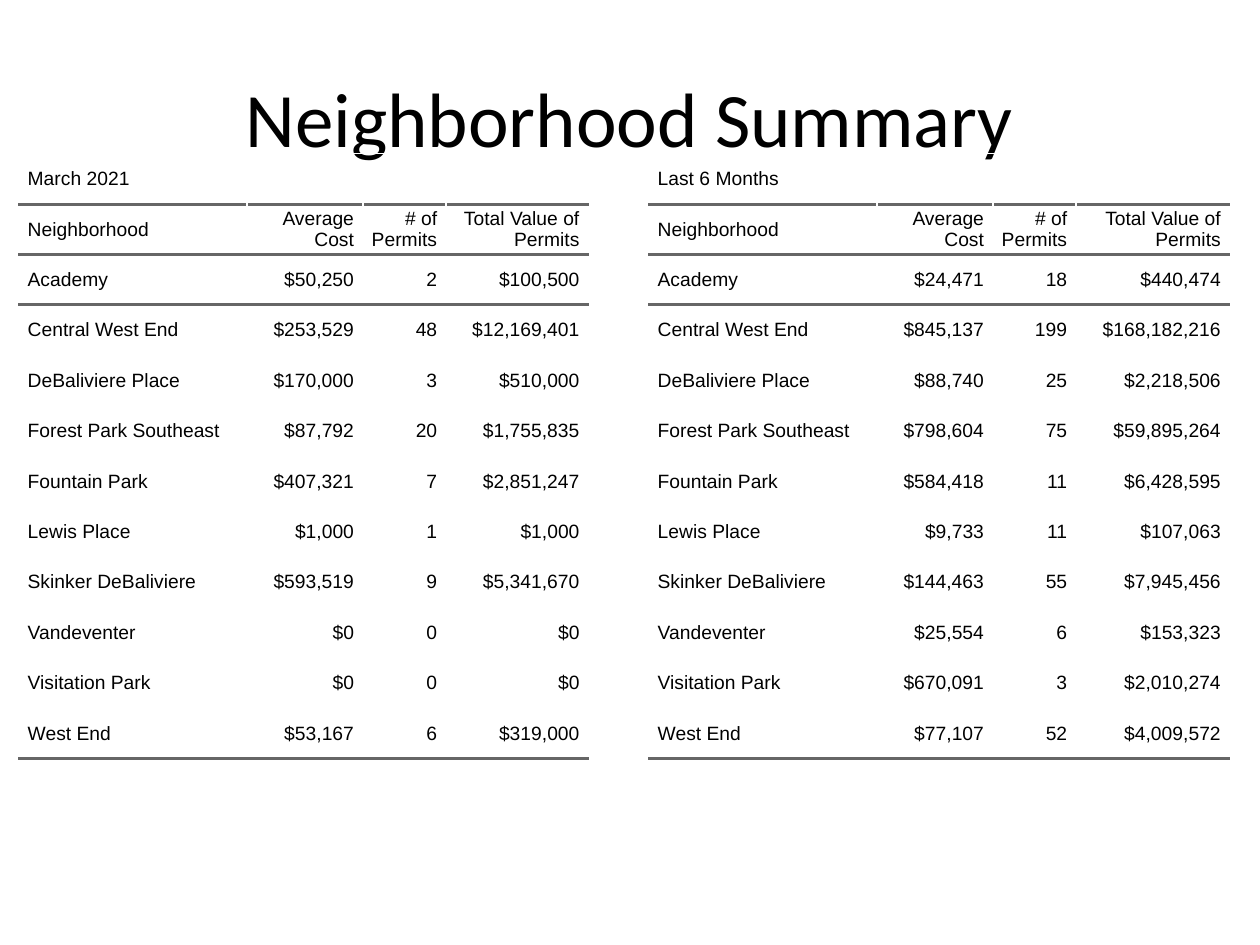
from dataclasses import dataclass

from lxml.etree import SubElement
from pptx import Presentation
from pptx.dml.color import RGBColor as RGB
from pptx.enum.text import MSO_ANCHOR as Anchor, PP_ALIGN as Align
from pptx.oxml.ns import qn
from pptx.util import Inches, Pt


@dataclass(frozen=True)
class Theme:
    ink: RGB = RGB(0x00, 0x00, 0x00)
    rule: str = "666666"
    rule_width: int = Pt(2)
    title_font: str = "Calibri"
    table_font: str = "Arial"
    title_size: int = 44
    table_size: int = 11


HEADERS = ["Neighborhood", "Average Cost", "# of Permits", "Total Value of Permits"]
NEIGHBORHOODS = [
    "Academy", "Central West End", "DeBaliviere Place", "Forest Park Southeast",
    "Fountain Park", "Lewis Place", "Skinker DeBaliviere", "Vandeventer",
    "Visitation Park", "West End",
]
MARCH = [
    (50250, 2, 100500), (253529, 48, 12169401), (170000, 3, 510000),
    (87792, 20, 1755835), (407321, 7, 2851247), (1000, 1, 1000),
    (593519, 9, 5341670), (0, 0, 0), (0, 0, 0), (53167, 6, 319000),
]
SIX_MONTHS = [
    (24471, 18, 440474), (845137, 199, 168182216), (88740, 25, 2218506),
    (798604, 75, 59895264), (584418, 11, 6428595), (9733, 11, 107063),
    (144463, 55, 7945456), (25554, 6, 153323), (670091, 3, 2010274),
    (77107, 52, 4009572),
]


def write(tf, text, *, font, size, color, align=Align.LEFT):
    p = tf.paragraphs[0]
    p.alignment = align
    r = p.add_run()
    r.text = text
    r.font.name, r.font.size = font, Pt(size)
    r.font.color.rgb = color


class SlideBuilder:
    """Draws titles and ruled permit tables on one slide in a shared theme."""

    def __init__(self, slide, theme):
        self.s = slide
        self.theme = theme

    def title(self, text, left, top, width, height):
        sp = self.s.shapes.add_textbox(Inches(left), Inches(top), Inches(width), Inches(height))
        tf = sp.text_frame
        tf.word_wrap = True
        tf.vertical_anchor = Anchor.MIDDLE
        write(tf, text, font=self.theme.title_font, size=self.theme.title_size,
              color=self.theme.ink, align=Align.CENTER)

    def border(self, cell, edge):
        ln = SubElement(cell._tc.get_or_add_tcPr(), qn(f"a:{edge}"), w=str(self.theme.rule_width))
        SubElement(SubElement(ln, qn("a:solidFill")), qn("a:srgbClr"), val=self.theme.rule)

    def cell(self, cell, text, align, edges):
        cell.margin_left = cell.margin_right = Inches(0.07)
        cell.margin_top = cell.margin_bottom = 0
        cell.vertical_anchor = Anchor.MIDDLE
        for edge in edges:
            self.border(cell, edge)
        cell.fill.background()
        write(cell.text_frame, text, font=self.theme.table_font, size=self.theme.table_size,
              color=self.theme.ink, align=align)

    def table(self, rows, left, top, widths, row_height):
        frame = self.s.shapes.add_table(
            len(rows), len(widths), Inches(left), Inches(top),
            Inches(sum(widths)), Inches(row_height * len(rows)))
        tbl = frame.table
        tbl.first_row = tbl.horz_banding = False
        for column, width in zip(tbl.columns, widths):
            column.width = Inches(width)
        tbl.cell(0, 0).merge(tbl.cell(0, len(widths) - 1))
        ruled_rows = {0, 1, len(rows) - 1}
        for i, row in enumerate(rows):
            tbl.rows[i].height = Inches(row_height)
            edges = ["lnT"] * (i - 1 in ruled_rows) + ["lnB"] * (i in ruled_rows)
            for j, text in enumerate(row):
                self.cell(tbl.cell(i, j), text, Align.RIGHT if j else Align.LEFT, edges)


def permit_rows(period, figures):
    body = [[name, f"${cost:,}", str(count), f"${total:,}"]
            for name, (cost, count, total) in zip(NEIGHBORHOODS, figures)]
    return [[period, "", "", ""], HEADERS, *body]


def main():
    prs = Presentation()
    prs.slide_width, prs.slide_height = Inches(10), Inches(7.5)
    builder = SlideBuilder(prs.slides.add_slide(prs.slide_layouts[6]), Theme())
    builder.title("Neighborhood Summary", 0.5, 0.3, 9, 1.25)
    for period, figures, left, total_width in (
        ("March 2021", MARCH, 0.15, 1.13),
        ("Last 6 Months", SIX_MONTHS, 5.15, 1.22),
    ):
        builder.table(permit_rows(period, figures), left, 1.22,
                      [1.81, 0.92, 0.66, total_width], 0.4)
    prs.save("out.pptx")


if __name__ == "__main__":
    main()
